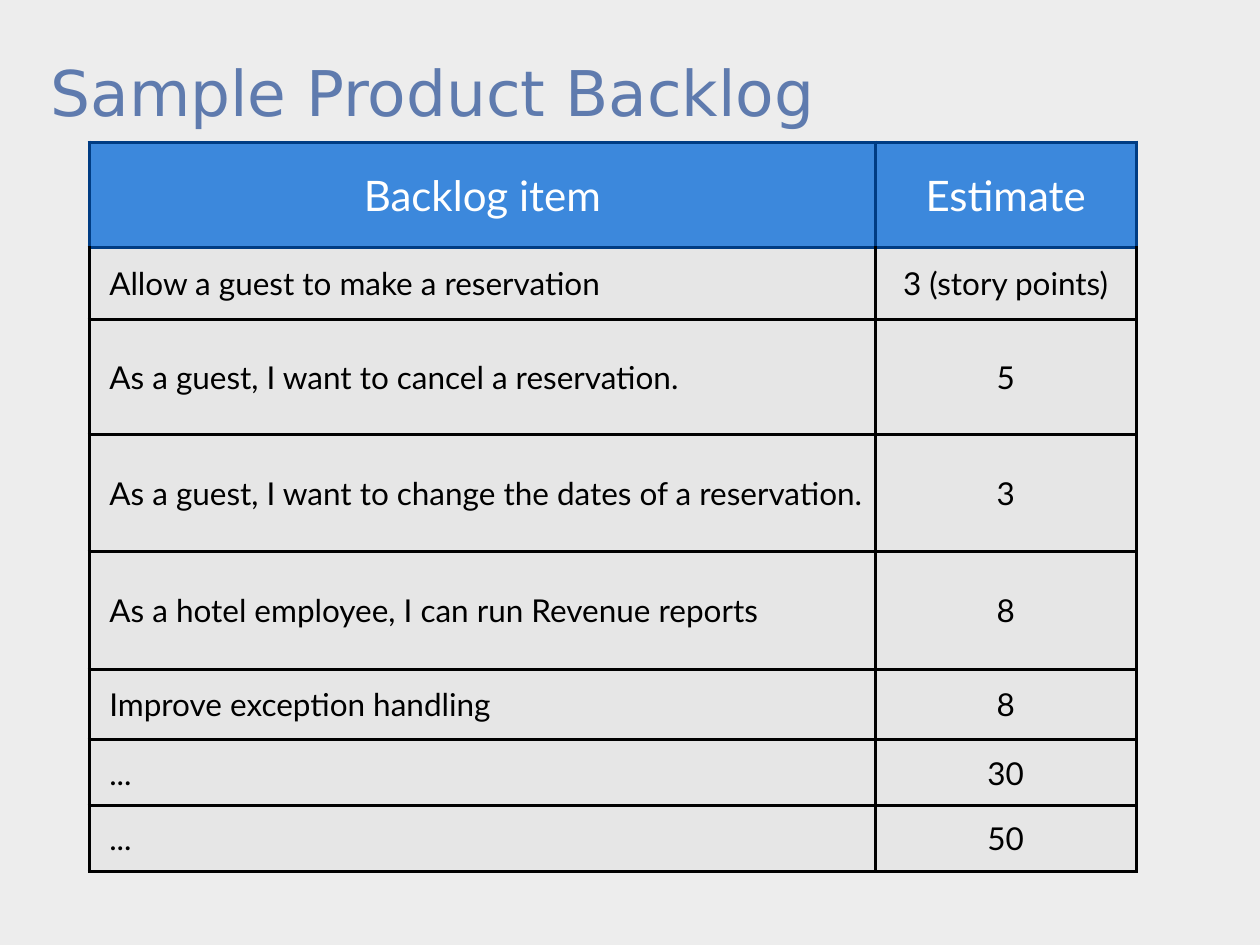
from lxml.etree import SubElement
from pptx import Presentation
from pptx.dml.color import RGBColor
from pptx.enum.text import MSO_ANCHOR, PP_ALIGN
from pptx.oxml.ns import qn
from pptx.util import Pt

TITLE = "Sample Product Backlog"
HEADER = ("Backlog item", "Estimate")
BACKLOG = [  # item, estimate, row height
    ("Allow a guest to make a reservation", "3 (story points)", 41),
    ("As a guest, I want to cancel a reservation.", "5", 65.7),
    ("As a guest, I want to change the dates of a reservation.", "3", 67.2),
    ("As a hotel employee, I can run Revenue reports", "8", 67),
    ("Improve exception handling", "8", 40.5),
    ("...", "30", 37.7),
    ("...", "50", 37.7),
]
HEADER_HEIGHT = 60.2
COLUMN_WIDTHS = (449.2, 149)
TABLE_LEFT, TABLE_TOP = 51, 81.3
INSET, ITEM_INDENT = 2.9, 8.6
NAVY, BLACK = "003C83", "000000"


def color(hex_code):
    return RGBColor.from_string(hex_code)


def set_insets(target):
    target.margin_left = target.margin_right = Pt(INSET)
    target.margin_top = target.margin_bottom = Pt(INSET)


def add_run(paragraph, text, font_name, size, hex_code):
    run = paragraph.add_run()
    run.text = text
    run.font.name = font_name
    run.font.size = Pt(size)
    run.font.bold = False
    run.font.color.rgb = color(hex_code)


def set_borders(cell, top, others):
    """Borders must precede the fill in the cell properties."""
    properties = cell._tc.get_or_add_tcPr()
    for side, hex_code in (("L", others), ("R", others), ("T", top), ("B", others)):
        line = SubElement(properties, qn(f"a:ln{side}"), w=str(Pt(2)))
        SubElement(SubElement(line, qn("a:solidFill")), qn("a:srgbClr"), val=hex_code)


def format_cell(cell, text, fill, text_color, size, top, others, centered):
    set_borders(cell, top, others)
    cell.fill.solid()
    cell.fill.fore_color.rgb = color(fill)
    cell.vertical_anchor = MSO_ANCHOR.MIDDLE
    set_insets(cell)
    paragraph = cell.text_frame.paragraphs[0]
    if centered:
        paragraph.alignment = PP_ALIGN.CENTER
    else:
        paragraph.alignment = PP_ALIGN.LEFT
        paragraph._p.get_or_add_pPr().set("marL", str(Pt(ITEM_INDENT)))
    add_run(paragraph, text, "Lato", size, text_color)


def add_title(slide):
    title = slide.shapes.title
    title.left, title.top, title.width, title.height = Pt(26), Pt(10), Pt(709), Pt(84)
    frame = title.text_frame
    frame.word_wrap = True
    frame.vertical_anchor = MSO_ANCHOR.MIDDLE
    set_insets(frame)
    paragraph = frame.paragraphs[0]
    paragraph.alignment = PP_ALIGN.LEFT
    add_run(paragraph, TITLE, "DejaVu Sans", 36, "5F7BAE")


def add_backlog_table(slide):
    heights = [HEADER_HEIGHT] + [height for _, _, height in BACKLOG]
    table = slide.shapes.add_table(
        len(heights), len(COLUMN_WIDTHS), Pt(TABLE_LEFT), Pt(TABLE_TOP),
        Pt(sum(COLUMN_WIDTHS)), Pt(sum(heights))).table
    table.first_row = table.horz_banding = False
    for column, width in zip(table.columns, COLUMN_WIDTHS):
        column.width = Pt(width)
    for row, height in zip(table.rows, heights):
        row.height = Pt(height)

    for column, label in enumerate(HEADER):
        format_cell(table.cell(0, column), label, "3C88DC", "FFFFFF", 24,
                    NAVY, NAVY, True)
    for row, (item, estimate, _) in enumerate(BACKLOG, start=1):
        top = NAVY if row == 1 else BLACK
        for column, text in enumerate((item, estimate)):
            format_cell(table.cell(row, column), text, "E6E6E6", BLACK, 18,
                        top, BLACK, column == 1)


def main():
    presentation = Presentation()
    presentation.slide_width, presentation.slide_height = Pt(720), Pt(540)
    slide = presentation.slides.add_slide(presentation.slide_layouts[5])
    slide.background.fill.solid()
    slide.background.fill.fore_color.rgb = color("EDEDED")
    add_title(slide)
    add_backlog_table(slide)
    presentation.save("out.pptx")


if __name__ == "__main__":
    main()
